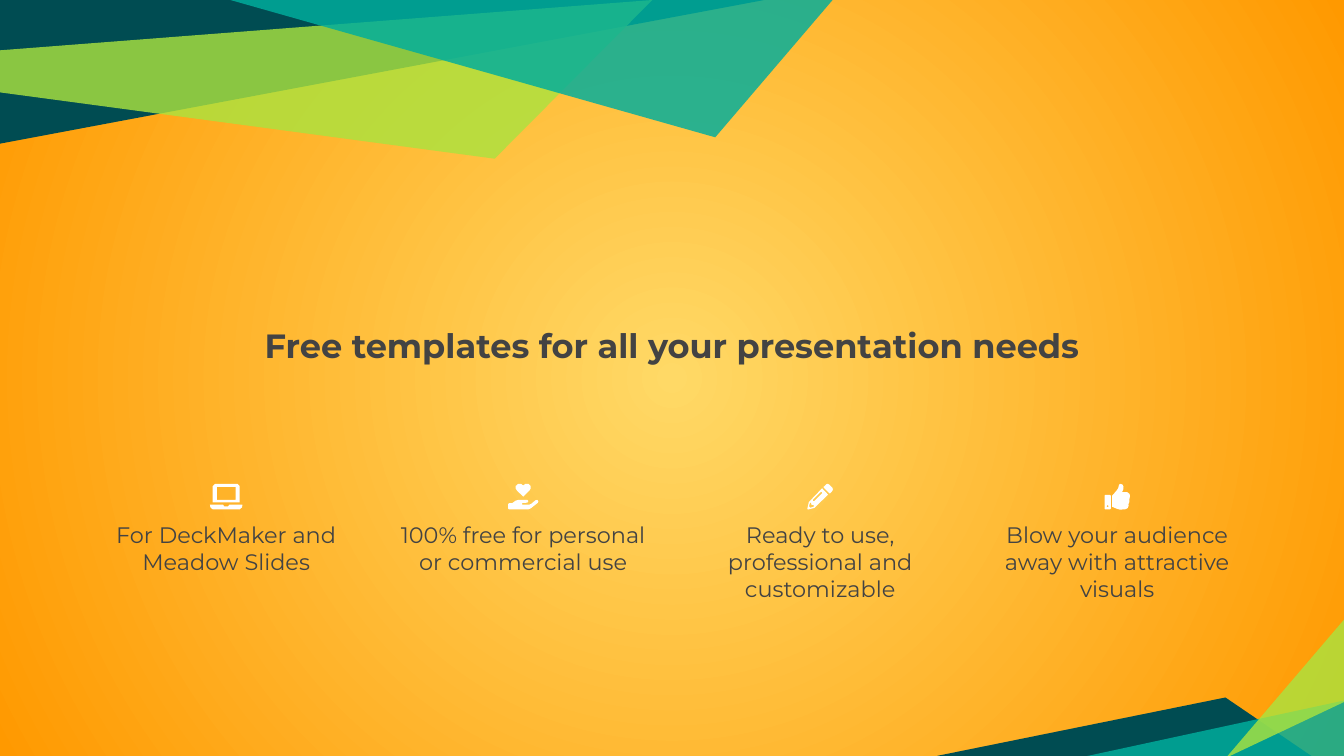
from lxml.etree import SubElement
from pptx import Presentation
from pptx.dml.color import RGBColor
from pptx.enum.text import MSO_ANCHOR, MSO_AUTO_SIZE, PP_ALIGN
from pptx.oxml import parse_xml
from pptx.oxml.ns import nsdecls, qn
from pptx.util import Pt

WIDTH, HEIGHT = 720, 405
FONT = "Montserrat"
INK, WHITE = "434343", "FFFFFF"
NAVY, LIME, TEAL = "004C52", "ABE33F", "00AE9D"
GLOW, EDGE = "FFD966", "FF9900"

HEADING = "Free templates for all your presentation needs"

# colour, opacity in percent, corners
RIBBONS = [
    (NAVY, 100, [(0, 0), (0, 77), (409.6, 0)]),
    (LIME, 81, [(-0.5, 27), (0, 49.5), (265, 85), (349.5, 0)]),
    (NAVY, 100, [(502, 405), (702.5, 405), (656.5, 373.7)]),
    (TEAL, 83, [(721.5, 375), (721.5, 406), (578, 406)]),
    (LIME, 81, [(720.7, 375.8), (720.7, 331.2), (656.8, 406)]),
    (TEAL, 83, [(123.2, 0), (383.2, 73.6), (446.5, -0.5), (438, 0)]),
]

# Icon outlines, measured from the middle of the icon's top edge
LAPTOP = [
    [(-7.2, 1.2), (-6, 0), (6, 0), (7.2, 1.2), (7.2, 10), (-7.2, 10)],
    [(-5, 1.7), (5, 1.7), (5, 8.6), (-5, 8.6)],
    [(-8.7, 11.2), (-1.7, 11.2), (-1, 12.1), (1, 12.1), (1.7, 11.2),
     (8.7, 11.2), (8.5, 12.6), (7.2, 13.7), (-7.2, 13.7), (-8.5, 12.6)],
]
GIVING_HAND = [
    [(0, 0.9), (1.2, 0), (2.8, 0), (4, 1.2), (4, 2.5), (3.4, 3.5), (0, 6.9),
     (-3.4, 3.5), (-4, 2.5), (-4, 1.2), (-2.8, 0), (-1.2, 0)],
    [(-2.3, 8.6), (2.2, 8.6), (2.8, 9.3), (2.2, 10.1), (-0.6, 10.3),
     (-0.6, 11.1), (3.4, 11.1), (4.2, 10.8), (6.6, 8.8), (7.6, 8.6),
     (8.1, 9.4), (7.8, 10.2), (4, 13.2), (2.7, 13.7), (-7.6, 13.7),
     (-8.1, 13.2), (-8.1, 11), (-7.6, 10.4), (-5.8, 10.3), (-4, 9)],
]
PENCIL = [
    [(4, 0), (3.2, 0.3), (1.8, 1.7), (1.8, 2), (5, 5.1), (5.3, 5.1),
     (6.6, 3.7), (6.8, 2.9), (6.6, 2.2), (4.8, 0.4)],
    [(1, 2.4), (-6.1, 9.8), (-6.9, 13.3), (-6.6, 13.8), (-3.1, 12.9), (4.2, 5.8)],
    [(0.9, 4.4), (1.1, 5), (-3.3, 9.4), (-3.9, 9.2), (-4, 8.6), (0.4, 4.3)],
    [(-4.9, 10.1), (-4.7, 11.2), (-3.3, 11.5), (-3.5, 12.3), (-5.4, 12.8),
     (-6, 12), (-5.5, 10.2)],
]
THUMB_UP = [
    [(-6.8, 6.4), (-6.4, 6), (-3.8, 6), (-3.4, 6.4), (-3.4, 13.3),
     (-3.8, 13.7), (-6.4, 13.7), (-6.8, 13.3)],
    [(-5.1, 11.4), (-4.5, 12), (-5.1, 12.6), (-5.7, 12)],
    [(1.6, 0), (1, 0.6), (0.6, 2.2), (0, 3.2), (-1.4, 4.9), (-2.6, 6.2),
     (-2.7, 6.6), (-2.7, 12.3), (-2.2, 12.5), (-0.4, 13.3), (1.4, 13.8),
     (4.2, 13.7), (5.6, 13), (6.2, 11.6), (6, 10.9), (6.6, 9.6), (6.6, 8),
     (6.9, 6.6), (6.6, 5.4), (5.4, 4.5), (2.6, 4.5), (3.3, 2.9),
     (3.4, 1.6), (2.9, 0.4)],
]

BENEFITS = [
    (LAPTOP, "For DeckMaker and Meadow Slides"),
    (GIVING_HAND, "100% free for personal or commercial use"),
    (PENCIL, "Ready to use, professional and customizable"),
    (THUMB_UP, "Blow your audience away with attractive visuals"),
]
COLUMN_LEFT, COLUMN_PITCH, COLUMN_WIDTH = 54.6, 159.1, 133.2
ICON_TOP, CAPTION_TOP, CAPTION_HEIGHT = 259.2, 279.4, 49.7


def rgb(code):
    return RGBColor.from_string(code)


def paint_background(slide):
    """Fill the slide with a gradient that spreads from its centre."""
    background = parse_xml(
        f'<p:bg {nsdecls("p", "a")}><p:bgPr><a:gradFill><a:gsLst>'
        f'<a:gs pos="0"><a:srgbClr val="{GLOW}"/></a:gs>'
        f'<a:gs pos="100000"><a:srgbClr val="{EDGE}"/></a:gs></a:gsLst>'
        '<a:path path="circle">'
        '<a:fillToRect l="50000" t="50000" r="50000" b="50000"/></a:path>'
        '</a:gradFill><a:effectLst/></p:bgPr></p:bg>')
    slide.element.cSld.insert(0, background)


def add_outline(shapes, contours, color, opacity=100, left=0, top=0):
    """Draw closed contours as one filled shape, moved by left and top."""
    placed = [[(Pt(left + x), Pt(top + y)) for x, y in contour]
              for contour in contours]
    builder = shapes.build_freeform(*placed[0][0], scale=1.0)
    for index, (start, *others) in enumerate(placed):
        if index:
            builder.move_to(*start)
        builder.add_line_segments(others, close=True)
    outline = builder.convert_to_shape()
    outline.shadow.inherit = False
    outline.line.fill.background()
    outline.fill.solid()
    outline.fill.fore_color.rgb = rgb(color)
    if opacity < 100:
        tint = outline.element.spPr.find(qn("a:solidFill"))[0]
        SubElement(tint, qn("a:alpha"), val=str(opacity * 1000))


def write(holder, text, size, bold=False):
    frame = holder.text_frame
    frame.word_wrap = True
    frame.auto_size = MSO_AUTO_SIZE.NONE
    frame.vertical_anchor = MSO_ANCHOR.TOP
    frame.margin_left = frame.margin_right = 0
    frame.margin_top = frame.margin_bottom = 0
    frame.text = text
    paragraph = frame.paragraphs[0]
    paragraph.alignment = PP_ALIGN.CENTER
    font = paragraph.font
    font.name, font.size, font.bold = FONT, Pt(size), bold
    font.color.rgb = rgb(INK)


def main():
    deck = Presentation()
    deck.slide_width, deck.slide_height = Pt(WIDTH), Pt(HEIGHT)
    slide = deck.slides.add_slide(deck.slide_layouts[5])
    paint_background(slide)

    for color, opacity, corners in RIBBONS:
        add_outline(slide.shapes, [corners], color, opacity)

    heading = slide.shapes.title
    heading.left, heading.top = Pt(87), Pt(174.2)
    heading.width, heading.height = Pt(546), Pt(21)
    write(heading, HEADING, 18, bold=True)

    for column, (icon, caption) in enumerate(BENEFITS):
        left = COLUMN_LEFT + column * COLUMN_PITCH
        benefit = slide.shapes.add_group_shape().shapes
        caption_box = benefit.add_textbox(
            Pt(left), Pt(CAPTION_TOP), Pt(COLUMN_WIDTH), Pt(CAPTION_HEIGHT))
        write(caption_box, caption, 12)
        add_outline(benefit, icon, WHITE,
                    left=left + COLUMN_WIDTH / 2, top=ICON_TOP)

    deck.save("out.pptx")


if __name__ == "__main__":
    main()
